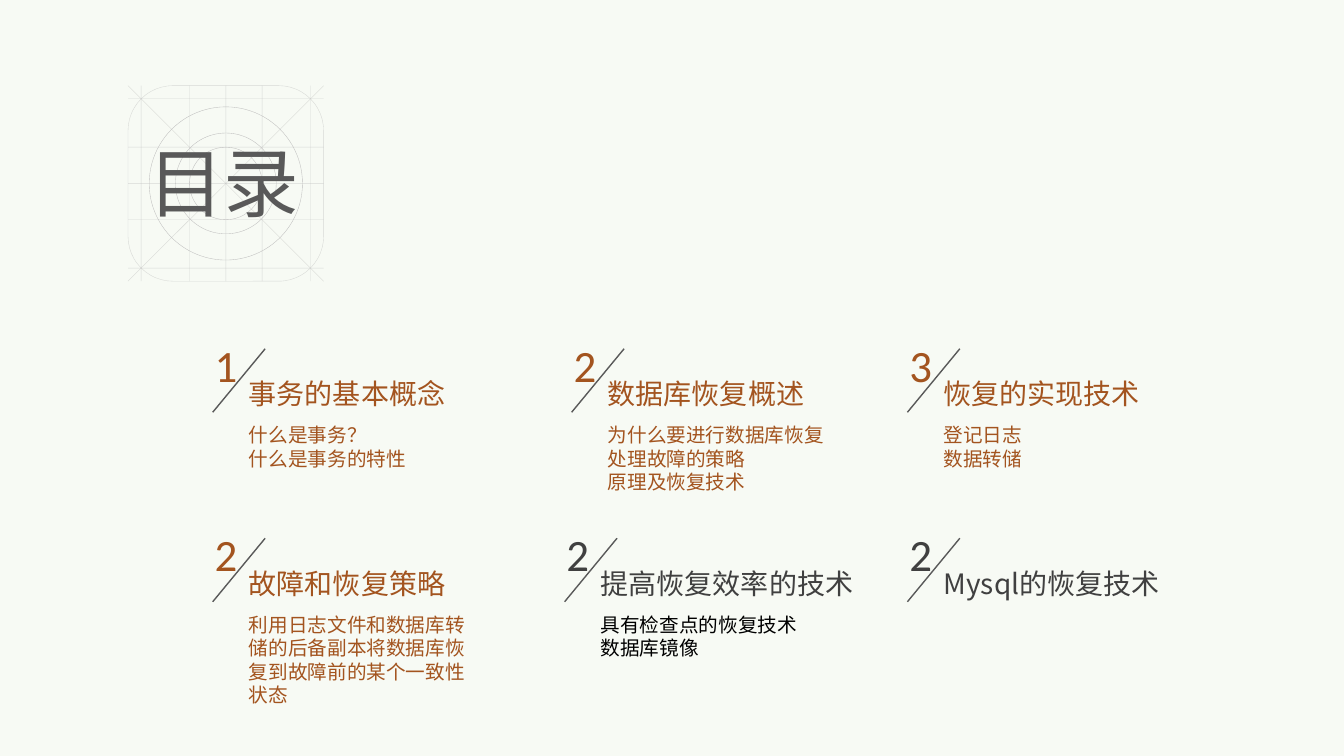
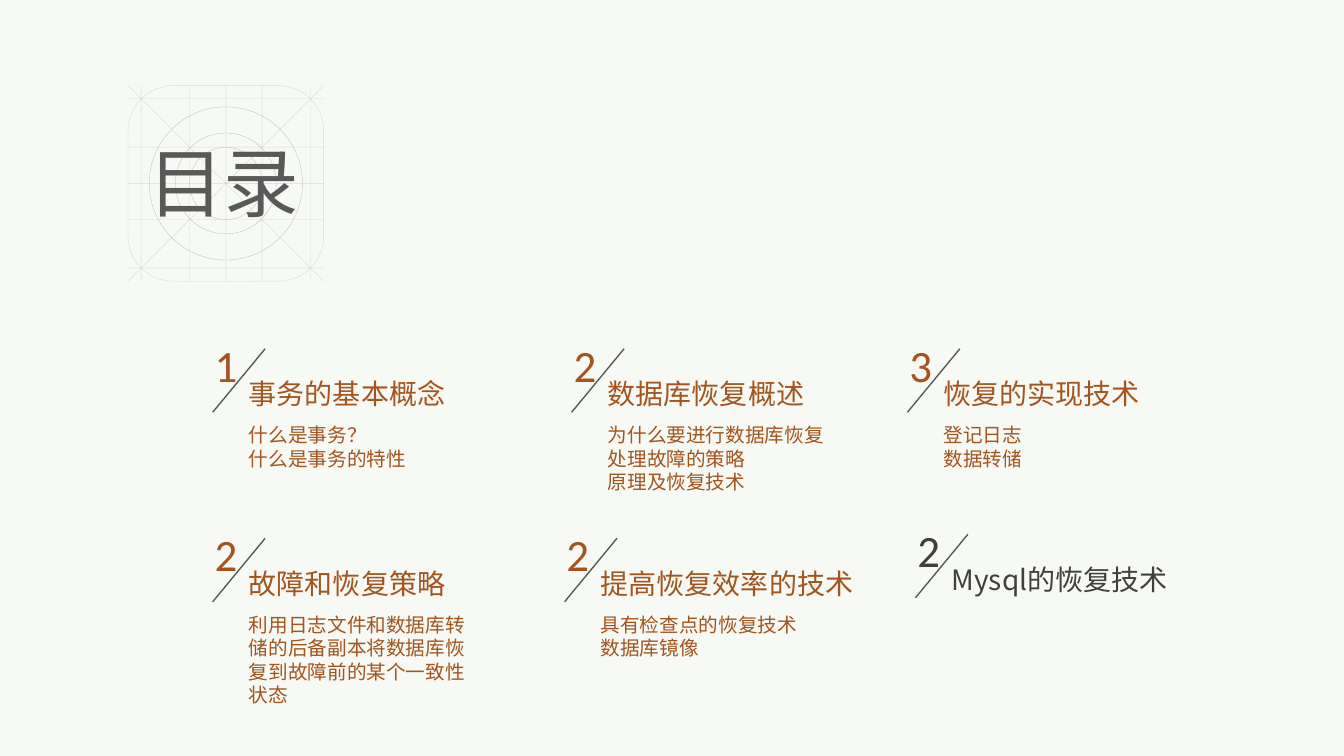
from dataclasses import dataclass

from lxml.etree import SubElement
from pptx import Presentation
from pptx.dml.color import RGBColor
from pptx.enum.lang import MSO_LANGUAGE_ID
from pptx.enum.shapes import MSO_CONNECTOR, MSO_SHAPE
from pptx.enum.text import MSO_AUTO_SIZE
from pptx.oxml.ns import qn
from pptx.util import Inches, Pt

# Shared look
PAPER = RGBColor(0xF7, 0xFA, 0xF4)
RUST = RGBColor(0xA3, 0x54, 0x1F)
CHARCOAL = RGBColor(0x40, 0x40, 0x40)
GRAY = RGBColor(0x59, 0x59, 0x59)
BLACK = RGBColor(0x00, 0x00, 0x00)
GUIDE = RGBColor(0xBF, 0xBF, 0xBF)
GUIDE_OPACITY = 56
CHINESE_FONT = "Noto Sans CJK SC"
NUMBER_FONT = "Calibri"

# Topic grid: left edges of the columns, top edges of the rows
COLUMNS = (2.03, 5.59, 8.92)
ROWS = (3.30, 5.18)
TEXT_INDENT = 0.34

# Guide emblem behind the title
CENTER_X, CENTER_Y = 2.24, 1.82
REACH = 0.97
GUIDE_OFFSETS = (-0.84, -0.36, 0, 0.36, 0.84)
RADII = (0.76, 0.50, 0.36)


@dataclass(frozen=True)
class Topic:
    number: str
    heading: str
    details: tuple[str, ...]
    column: int
    row: int
    width: float = 2.26
    shift_x: float = 0
    shift_y: float = 0
    color: RGBColor = RUST
    detail_color: RGBColor = RUST


SHARED_TOPICS = (
    Topic("1", "事务的基本概念", ("什么是事务？", "什么是事务的特性"), 0, 0),
    Topic("2", "数据库恢复概述",
          ("为什么要进行数据库恢复", "处理故障的策略", "原理及恢复技术"), 1, 0),
    Topic("3", "恢复的实现技术", ("登记日志", "数据转储"), 2, 0),
    Topic("2", "故障和恢复策略",
          ("利用日志文件和数据库转储的后备副本将数据库恢复到故障前的某个一致性状态",), 0, 1),
)


def efficiency_topic(color: RGBColor, detail_color: RGBColor) -> Topic:
    return Topic("2", "提高恢复效率的技术", ("具有检查点的恢复技术", "数据库镜像"), 1, 1,
                 width=2.79, shift_x=-0.07, color=color, detail_color=detail_color)


def mysql_topic(shift_x: float = 0, shift_y: float = 0) -> Topic:
    return Topic("2", "Mysql的恢复技术", (), 2, 1, width=3.06,
                 shift_x=shift_x, shift_y=shift_y, color=CHARCOAL)


PAGES = (
    SHARED_TOPICS + (efficiency_topic(CHARCOAL, BLACK), mysql_topic()),
    SHARED_TOPICS + (efficiency_topic(RUST, RUST), mysql_topic(0.08, -0.04)),
)


def add_text(page, left: float, top: float, width: float, height: float,
             lines: tuple[str, ...], size: int, color: RGBColor,
             font: str = CHINESE_FONT) -> None:
    box = page.shapes.add_textbox(Inches(left), Inches(top), Inches(width), Inches(height))
    frame = box.text_frame
    frame.word_wrap = True
    frame.auto_size = MSO_AUTO_SIZE.SHAPE_TO_FIT_TEXT
    for index, line in enumerate(lines):
        para = frame.add_paragraph() if index else frame.paragraphs[0]
        span = para.add_run()
        span.text = line
        span.font.name = font
        span.font.size = Pt(size)
        span.font.color.rgb = color
        span.font.language_id = MSO_LANGUAGE_ID.SIMPLIFIED_CHINESE


def add_line(shapes, start: tuple[float, float], end: tuple[float, float],
             color: RGBColor, weight: float):
    line = shapes.add_connector(MSO_CONNECTOR.STRAIGHT, Inches(start[0]), Inches(start[1]),
                                Inches(end[0]), Inches(end[1]))
    line.line.color.rgb = color
    line.line.width = Pt(weight)
    SubElement(line._element.spPr, qn("a:effectLst"))
    return line


def soften(shape) -> None:
    """Make the outline partly transparent."""
    color = shape.line._ln.find(".//" + qn("a:srgbClr"))
    SubElement(color, qn("a:alpha")).set("val", str(GUIDE_OPACITY * 1000))


def add_outline(shapes, kind: MSO_SHAPE, radius: float):
    shape = shapes.add_shape(kind, Inches(CENTER_X - radius), Inches(CENTER_Y - radius),
                             Inches(2 * radius), Inches(2 * radius))
    shape.shadow.inherit = False
    shape.fill.background()
    shape.line.color.rgb = GUIDE
    shape.line.width = Pt(0.25)
    return shape


def add_emblem(page) -> None:
    shapes = page.shapes.add_group_shape().shapes
    for radius in RADII:
        add_outline(shapes, MSO_SHAPE.OVAL, radius)
    frame = add_outline(shapes, MSO_SHAPE.ROUNDED_RECTANGLE, REACH)
    frame.adjustments[0] = 0.23
    soften(frame)

    # Straight guides across the frame, then its two diagonals
    left, right = CENTER_X - REACH, CENTER_X + REACH
    top, bottom = CENTER_Y - REACH, CENTER_Y + REACH
    guides = [((left, top), (right, bottom)), ((left, bottom), (right, top))]
    for offset in GUIDE_OFFSETS:
        guides.append(((left, CENTER_Y + offset), (right, CENTER_Y + offset)))
        guides.append(((CENTER_X + offset, top), (CENTER_X + offset, bottom)))
    for start, end in guides:
        soften(add_line(shapes, start, end, GUIDE, 0.25))


def add_topic(page, topic: Topic) -> None:
    left = COLUMNS[topic.column] + topic.shift_x
    top = ROWS[topic.row] + topic.shift_y
    add_text(page, left, top, 0.45, 0.64, (topic.number,), 32, topic.color, NUMBER_FONT)
    add_line(page.shapes, (left + 0.60, top + 0.16), (left + 0.08, top + 0.79), GRAY, 1)
    add_text(page, left + TEXT_INDENT, top + 0.39, topic.width, 0.44,
             (topic.heading,), 20, topic.color)
    if topic.details:
        add_text(page, left + TEXT_INDENT, top + 0.85, 2.53, 0.57,
                 topic.details, 14, topic.detail_color)


def main() -> None:
    deck = Presentation()
    deck.slide_width, deck.slide_height = Inches(13.33), Inches(7.5)
    for topics in PAGES:
        page = deck.slides.add_slide(deck.slide_layouts[6])
        page.background.fill.solid()
        page.background.fill.fore_color.rgb = PAPER
        add_emblem(page)
        add_text(page, 1.37, 1.30, 1.78, 1.00, ("目录",), 54, GRAY)
        for topic in topics:
            add_topic(page, topic)
    deck.save("out.pptx")


if __name__ == "__main__":
    main()
